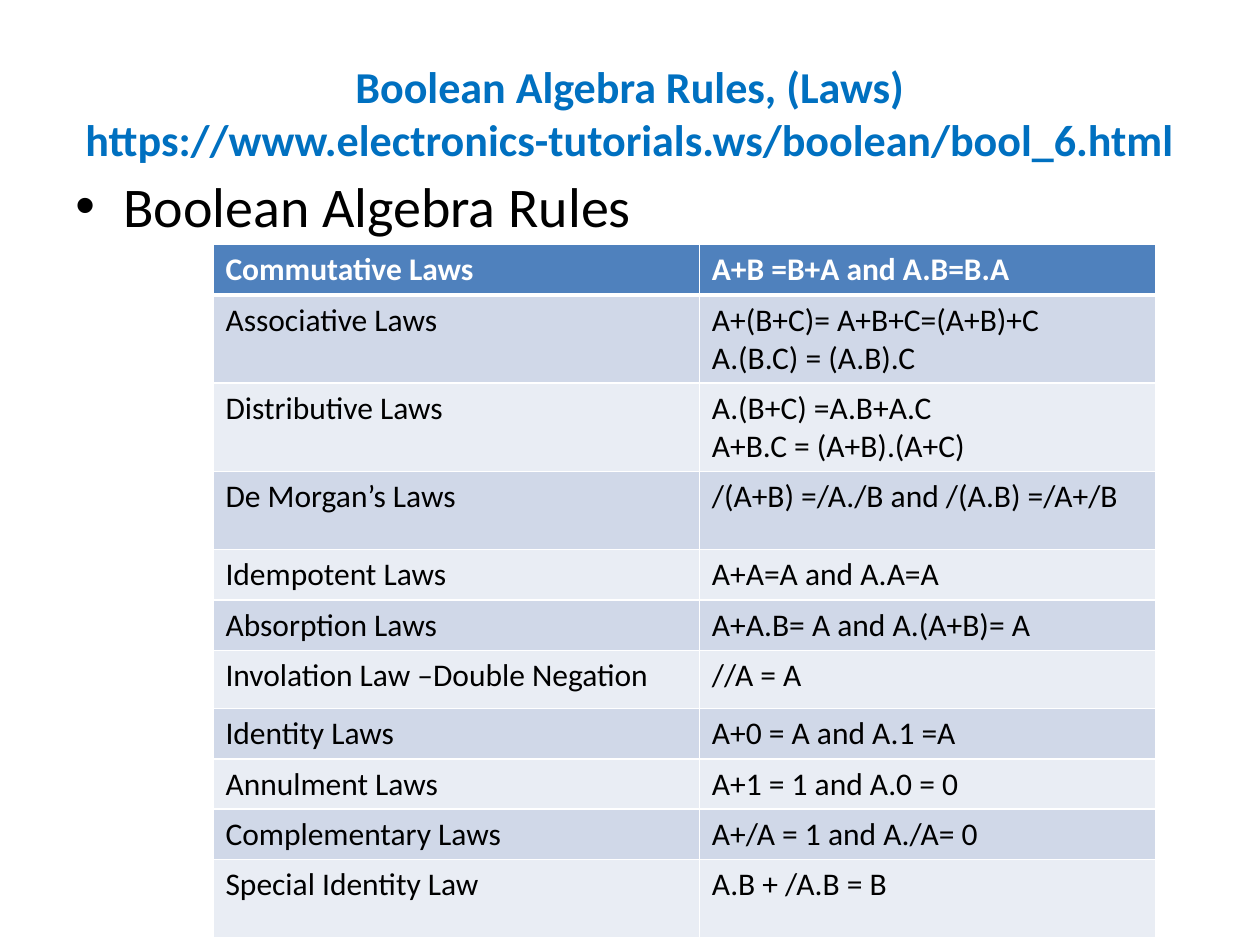
from lxml import etree
from pptx import Presentation
from pptx.dml.color import RGBColor
from pptx.enum.text import MSO_ANCHOR, PP_ALIGN
from pptx.oxml.ns import qn
from pptx.util import Inches, Pt

CENTER, MIDDLE = PP_ALIGN.CENTER, MSO_ANCHOR.MIDDLE
FONT = "Calibri"
WHITE = RGBColor(0xFF, 0xFF, 0xFF)
BLACK = RGBColor(0, 0, 0)
TITLE_BLUE = RGBColor(0x00, 0x70, 0xC0)
HEADER_BLUE = RGBColor(0x4F, 0x81, 0xBD)
BANDS = (RGBColor(0xE9, 0xED, 0xF4), RGBColor(0xD0, 0xD8, 0xE8))

COLUMN_WIDTHS = (3.86, 3.62)
# Law, formulas (one paragraph per line), row height in inches
LAWS = (
    ("Commutative Laws", "A+B =B+A and A.B=B.A", 0.4),
    ("Associative Laws", "A+(B+C)= A+B+C=(A+B)+C\nA.(B.C) = (A.B).C", 0.7),
    ("Distributive Laws", "A.(B+C) =A.B+A.C\nA+B.C = (A+B).(A+C)", 0.7),
    ("De Morgan’s Laws", "/(A+B) =/A./B and /(A.B) =/A+/B", 0.62),
    ("Idempotent Laws", "A+A=A and A.A=A", 0.4),
    ("Absorption Laws", "A+A.B= A and A.(A+B)= A", 0.4),
    ("Involation Law –Double Negation", "//A = A", 0.46),
    ("Identity Laws", "A+0 = A and A.1 =A", 0.4),
    ("Annulment Laws", "A+1 = 1 and A.0 = 0", 0.4),
    ("Complementary Laws", "A+/A = 1 and A./A= 0", 0.4),
    ("Special Identity Law", "A.B + /A.B = B", 0.62),
)


def set_font(paragraph, size, color, bold=False):
    font = paragraph.font
    font.name, font.size, font.bold = FONT, Pt(size), bold
    font.color.rgb = color


def add_text(slide, box, text):
    frame = slide.shapes.add_textbox(*map(Inches, box)).text_frame
    frame.word_wrap = True
    frame.text = text
    return frame


def add_title(slide, box):
    # The vertical tab makes a line break inside the paragraph
    frame = add_text(slide, box, "Boolean Algebra Rules, (Laws)\v"
                     "https://www.electronics-tutorials.ws/boolean/bool_6.html")
    frame.vertical_anchor = MIDDLE
    heading = frame.paragraphs[0]
    heading.alignment = CENTER
    set_font(heading, 25.2, TITLE_BLUE, bold=True)


def add_topic(slide, box):
    topic = add_text(slide, box, "Boolean Algebra Rules").paragraphs[0]
    properties = topic._p.get_or_add_pPr()
    properties.set("marL", str(Inches(0.38)))
    properties.set("indent", str(Inches(-0.38)))
    etree.SubElement(properties, qn("a:buFont"), typeface="Arial")
    etree.SubElement(properties, qn("a:buChar"), char="•")
    set_font(topic, 32, BLACK)


def set_borders(cell, bottom_width):
    properties = cell._tc.get_or_add_tcPr()
    widths = {"a:lnL": 1, "a:lnR": 1, "a:lnT": 1, "a:lnB": bottom_width}
    # Borders come before the fill in the cell properties
    for index, (tag, width) in enumerate(widths.items()):
        line = etree.Element(qn(tag), w=str(Pt(width)))
        fill = etree.SubElement(line, qn("a:solidFill"))
        etree.SubElement(fill, qn("a:srgbClr"), val=str(WHITE))
        properties.insert(index, line)


def add_laws_table(slide, box):
    table = slide.shapes.add_table(
        len(LAWS), len(COLUMN_WIDTHS), *map(Inches, box)).table
    for column, width in zip(table.columns, COLUMN_WIDTHS):
        column.width = Inches(width)
    for r, (law, formulas, height) in enumerate(LAWS):
        header = r == 0
        table.rows[r].height = Inches(height)
        for cell, text in zip(table.rows[r].cells, (law, formulas)):
            cell.text = text
            cell.fill.solid()
            cell.fill.fore_color.rgb = HEADER_BLUE if header else BANDS[r % 2]
            set_borders(cell, 3 if header else 1)
            for paragraph in cell.text_frame.paragraphs:
                set_font(paragraph, 18, WHITE if header else BLACK, header)


def main():
    deck = Presentation()
    deck.slide_width, deck.slide_height = Inches(10), Inches(7.5)
    slide = deck.slides.add_slide(deck.slide_layouts[6])
    add_title(slide, (0.5, 0.27, 9, 1.25))
    add_topic(slide, (0.5, 1.31, 9, 6.61))
    add_laws_table(slide, (1.69, 1.94, 7.48, 5.5))
    deck.save("out.pptx")


if __name__ == "__main__":
    main()
